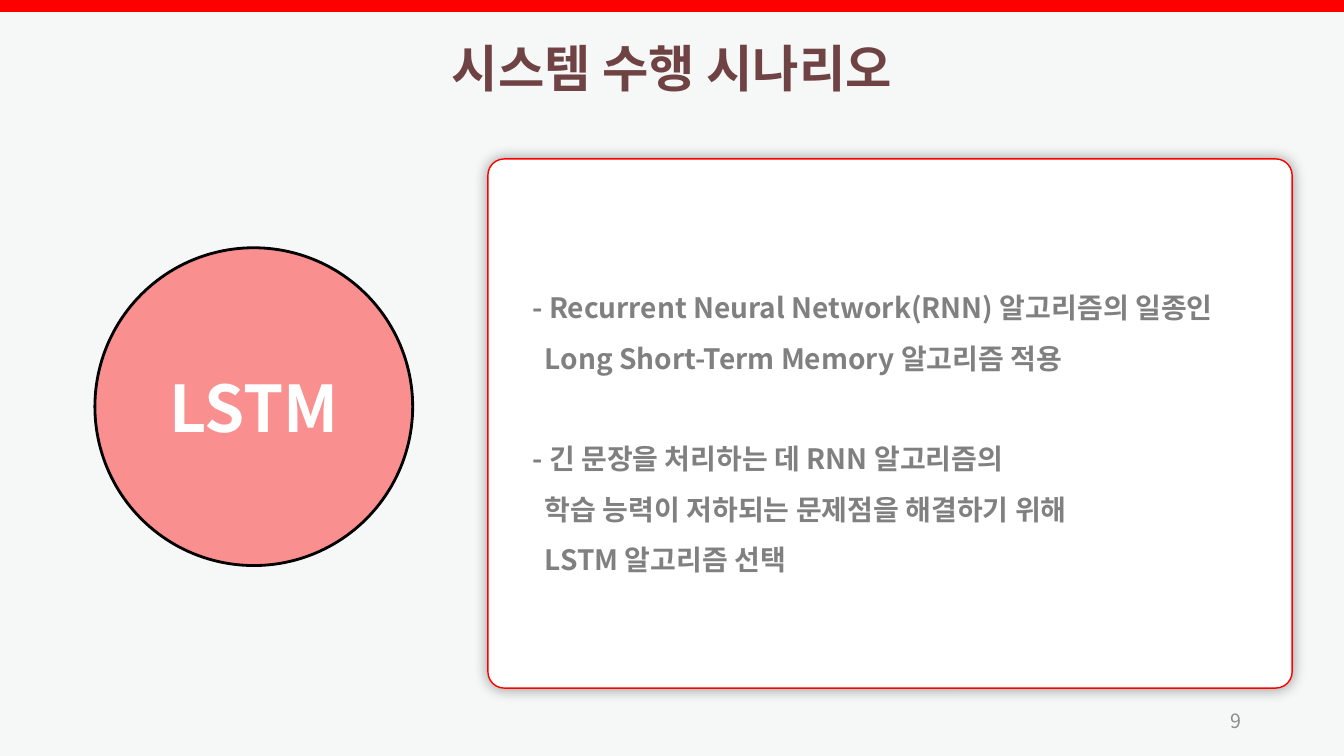
from lxml import etree
from pptx import Presentation
from pptx.dml.color import RGBColor
from pptx.enum.shapes import MSO_SHAPE
from pptx.enum.text import MSO_ANCHOR, MSO_AUTO_SIZE, PP_ALIGN
from pptx.oxml import parse_xml
from pptx.oxml.ns import qn
from pptx.util import Pt

TITLE = "시스템 수행 시나리오"
TOPIC = "LSTM"
POINTS = [
    ["- Recurrent Neural Network(RNN) 알고리즘의 일종인",
     "Long Short-Term Memory 알고리즘 적용"],
    ["- 긴 문장을 처리하는 데 RNN 알고리즘의",
     "학습 능력이 저하되는 문제점을 해결하기 위해",
     "LSTM 알고리즘 선택"],
]
PAGE = "9"

FONT = "Noto Sans CJK KR"
RED = RGBColor(0xFF, 0x00, 0x00)
BLACK = RGBColor(0x00, 0x00, 0x00)
WHITE = RGBColor(0xFF, 0xFF, 0xFF)
PAPER = RGBColor(0xF6, 0xF8, 0xF8)
BROWN = RGBColor(0x6F, 0x43, 0x43)
GRAY = RGBColor(0x80, 0x80, 0x80)
PALE = RGBColor(0x8C, 0x8C, 0x8C)

WIDTH, HEIGHT = 960, 540
BAR = (0, 0, WIDTH, 8.5)
HEAD = (244, 1.5, 472, 64)
DISC = (67.8, 177, 227, 227)
CARD = (348.5, 113.5, 574.5, 378)
PAD = 24.5
BODY = (CARD[0] + PAD, 192, CARD[2] - 2 * PAD, 221)
FOOT = (678, 500.4, 216, 29)
HANG = 9
LINE = 36

DRAW = "http://schemas.openxmlformats.org/drawingml/2006/main"
SHADOW = (f'<a:effectLst xmlns:a="{DRAW}"><a:outerShdw blurRad="{Pt(10)}" '
          'dist="0" dir="0"><a:srgbClr val="000000"><a:alpha val="40000"/>'
          '</a:srgbClr></a:outerShdw></a:effectLst>')


def place(item, box):
    item.left, item.top, item.width, item.height = map(Pt, box)


def style(para, size, color, bold=True, align=PP_ALIGN.LEFT, gap=1.0):
    """Format one paragraph, with the same face for Latin and Hangul."""
    font = para.font
    font.size, font.bold, font.name = Pt(size), bold, FONT
    font.color.rgb = color
    para.alignment, para.line_spacing = align, gap
    para.space_before = Pt(0)
    props = para._p.pPr.find(qn("a:defRPr"))
    east = etree.Element(qn("a:ea"), typeface=FONT)
    props.find(qn("a:latin")).addnext(east)


def setup(frame, anchor):
    frame.word_wrap = True
    frame.auto_size = MSO_AUTO_SIZE.NONE
    frame.vertical_anchor = anchor


def draw(slide, kind, box, fill, line=None, weight=1):
    item = slide.shapes.add_shape(kind, *map(Pt, box))
    item.shadow.inherit = False
    item.fill.solid()
    item.fill.fore_color.rgb = fill
    if line is None:
        item.line.fill.background()
    else:
        item.line.color.rgb = line
        item.line.width = Pt(weight)
    return item


def main():
    deck = Presentation()
    deck.slide_width, deck.slide_height = Pt(WIDTH), Pt(HEIGHT)
    slide = deck.slides.add_slide(deck.slide_layouts[1])
    slide.background.fill.solid()
    slide.background.fill.fore_color.rgb = PAPER
    title, body = slide.placeholders

    draw(slide, MSO_SHAPE.RECTANGLE, BAR, RED)

    disc = draw(slide, MSO_SHAPE.OVAL, DISC, RED, BLACK, 2)
    tint = disc.fill._xPr.find(qn("a:solidFill"))[0]
    etree.SubElement(tint, qn("a:alpha"), val="42000")
    setup(disc.text_frame, MSO_ANCHOR.MIDDLE)
    disc.text_frame.text = TOPIC
    style(disc.text_frame.paragraphs[0], 46, WHITE, align=PP_ALIGN.CENTER)

    card = draw(slide, MSO_SHAPE.ROUNDED_RECTANGLE, CARD, WHITE, RED)
    card.adjustments[0] = 0.031
    props = card._element.spPr
    props.replace(props.find(qn("a:effectLst")), parse_xml(SHADOW))

    place(body, BODY)
    setup(body.text_frame, MSO_ANCHOR.TOP)
    body.text_frame.text = "\n".join("\v".join(point) for point in POINTS)
    for i, para in enumerate(body.text_frame.paragraphs):
        style(para, 20, GRAY, gap=1.5)
        para.space_before = Pt(LINE * min(i, 1))
        layout = para._p.pPr
        layout.set("marL", str(Pt(HANG)))
        layout.set("indent", str(-Pt(HANG)))
        layout.find(qn("a:defRPr")).addprevious(etree.Element(qn("a:buNone")))

    place(title, HEAD)
    setup(title.text_frame, MSO_ANCHOR.TOP)
    title.text_frame.text = TITLE
    style(title.text_frame.paragraphs[0], 36, BROWN,
          align=PP_ALIGN.CENTER, gap=1.5)

    foot = slide.shapes.add_textbox(*map(Pt, FOOT))
    setup(foot.text_frame, MSO_ANCHOR.MIDDLE)
    foot.text_frame.text = PAGE
    style(foot.text_frame.paragraphs[0], 14, PALE, False, PP_ALIGN.RIGHT)

    # The text placeholders come first in the tree; lift them above the card.
    for item in (body, title):
        slide.shapes._spTree.append(item._element)
    deck.save("out.pptx")


if __name__ == "__main__":
    main()
